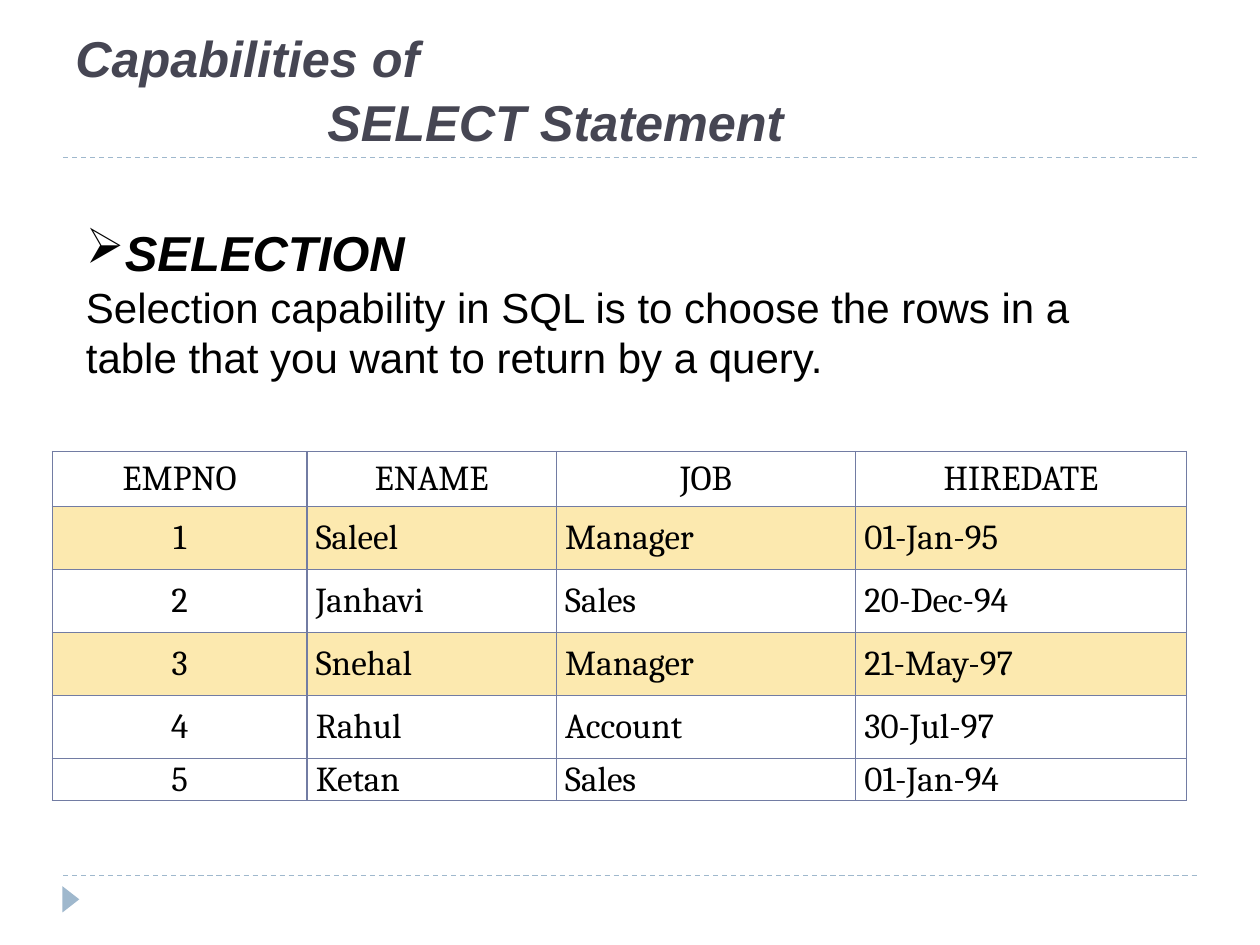
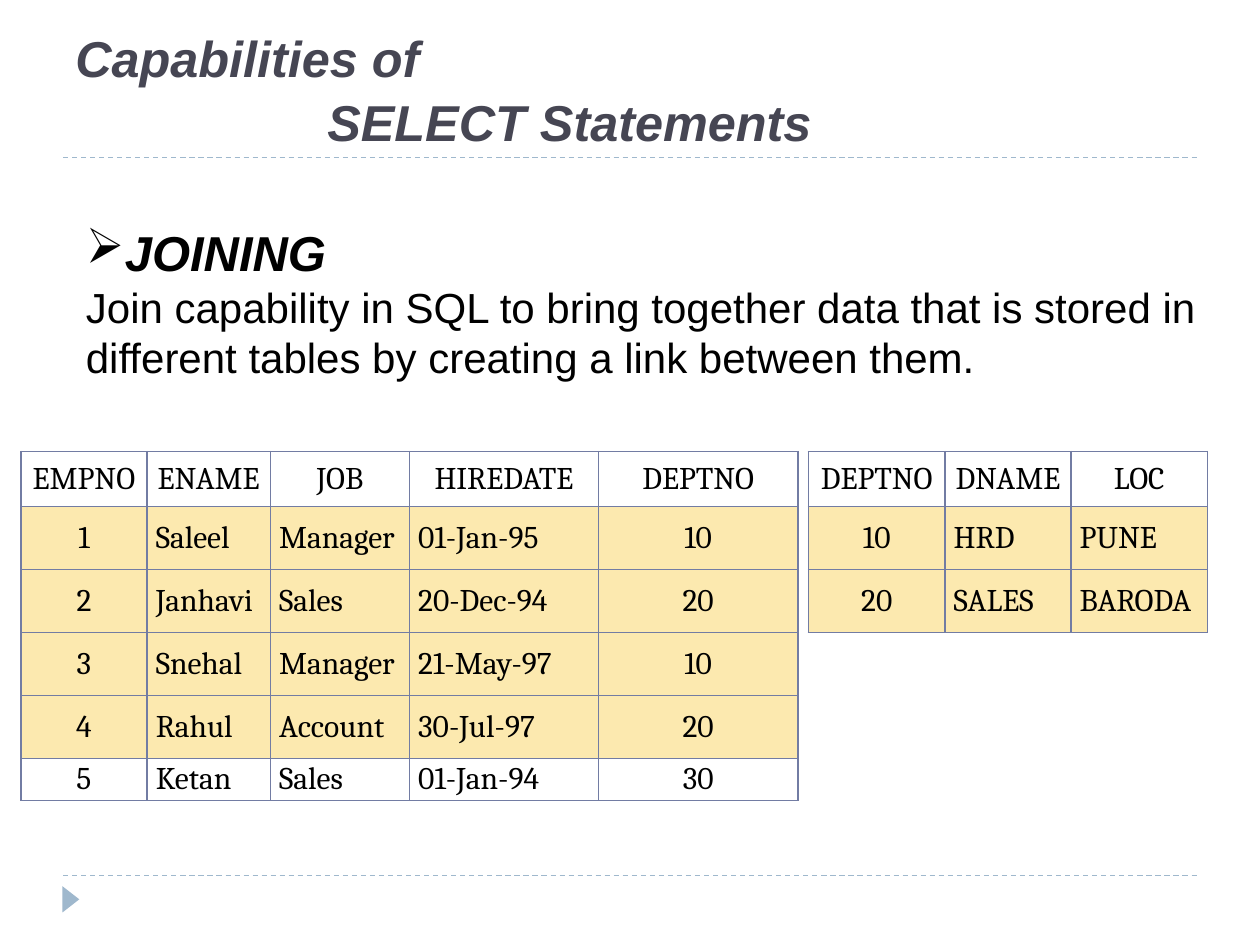
import pptx
import pptx.util
import pptx.dml.color
import pptx.enum.dml
import pptx.enum.shapes
import pptx.enum.text
import pptx.oxml
import pptx.oxml.ns

SLIDE_WIDTH, SLIDE_HEIGHT = pptx.util.Inches(10), pptx.util.Inches(7.5)
GRID_COLUMNS, GRID_ROWS = 120, 90

COLORS = {
    "title": "464653",
    "text": "000000",
    "accent": "9FB8CD",
    "border": "727CA3",
    "highlight": "FCE9AF",
}
HEADING_FONT, TABLE_FONT = "Arial", "Cambria"

TITLE_BOX = (6, 3, 108, 12)
FOOTER_BOX = (6, 83.4, 108, 6.6)
TABLE_TOP = 43
HEADER_HEIGHT, ROW_HEIGHT, LAST_ROW_HEIGHT = 5.25, 6, 4
CENTERED_FIELDS = {"EMPNO", "DEPTNO"}

EMPLOYEE_FIELDS = ["EMPNO", "ENAME", "JOB", "HIREDATE"]
EMPLOYEES = [
    ["1", "Saleel", "Manager", "01-Jan-95"],
    ["2", "Janhavi", "Sales", "20-Dec-94"],
    ["3", "Snehal", "Manager", "21-May-97"],
    ["4", "Rahul", "Account", "30-Jul-97"],
    ["5", "Ketan", "Sales", "01-Jan-94"],
]
EMPLOYEE_DEPARTMENTS = ["10", "20", "10", "20", "30"]
DEPARTMENT_FIELDS = ["DEPTNO", "DNAME", "LOC"]
DEPARTMENTS = [["10", "HRD", "PUNE"], ["20", "SALES", "BARODA"]]


def across(columns):
    return round(SLIDE_WIDTH * columns / GRID_COLUMNS)


def down(rows):
    return round(SLIDE_HEIGHT * rows / GRID_ROWS)


def place(box):
    left, top, width, height = box
    return across(left), down(top), across(width), down(height)


def rgb(name):
    return pptx.dml.color.RGBColor.from_string(COLORS[name])


def child(parent, tag, **attributes):
    element = pptx.oxml.ns.qn(tag)
    added = parent.makeelement(element, attributes)
    parent.append(added)
    return added


def style(paragraph, font_name, size, color, emphasis=False):
    font = paragraph.font
    font.name, font.size = font_name, pptx.util.Pt(size)
    font.bold = font.italic = emphasis
    font.color.rgb = rgb(color)


def add_text_frame(slide, box):
    frame = slide.shapes.add_textbox(*place(box)).text_frame
    frame.word_wrap = True
    return frame


def add_rule(slide, left, top, width):
    start, level = across(left), down(top)
    rule = slide.shapes.add_connector(
        pptx.enum.shapes.MSO_CONNECTOR.STRAIGHT,
        start, level, start + across(width), level)
    rule.line.color.rgb = rgb("accent")
    rule.line.width = pptx.util.Pt(0.75)
    rule.line.dash_style = pptx.enum.dml.MSO_LINE.DASH
    child(rule._element.spPr, "a:effectLst")


def add_title(slide, box, lines):
    """Bottom-anchored title, second line indented, with a rule below."""
    left, top, width, height = box
    add_rule(slide, left, top + height, width)
    frame = add_text_frame(slide, box)
    frame.vertical_anchor = pptx.enum.text.MSO_ANCHOR.BOTTOM
    frame.text = "\n".join(lines)
    for paragraph in frame.paragraphs:
        paragraph.line_spacing = 1.05
        style(paragraph, HEADING_FONT, 28.8, "title", emphasis=True)
    frame.paragraphs[1]._p.get_or_add_pPr().set("marL", str(across(24)))


def add_footer(slide, box):
    left, top, width, _ = box
    add_rule(slide, left, top, width)
    marker = slide.shapes.add_shape(
        pptx.enum.shapes.MSO_SHAPE.ISOSCELES_TRIANGLE,
        *place((left - 0.5, top + 1.45, 2.5, 1.6)))
    marker.rotation = 90
    marker.shadow.inherit = False
    marker.fill.solid()
    marker.fill.fore_color.rgb = rgb("accent")
    marker.line.fill.background()


def add_capability(slide, box, name, description):
    frame = add_text_frame(slide, box)
    frame.text = f"{name}\n{description}"
    heading, explanation = frame.paragraphs
    heading.line_spacing = 2.0
    child(heading._p.get_or_add_pPr(), "a:buChar", char="➢")
    style(heading, HEADING_FONT, 28, "text", emphasis=True)
    style(explanation, HEADING_FONT, 24, "text")


def add_cell_borders(cell):
    properties = cell._tc.get_or_add_tcPr()
    for position, side in enumerate(("a:lnL", "a:lnR", "a:lnT", "a:lnB")):
        border = properties.makeelement(
            pptx.oxml.ns.qn(side), {"w": str(pptx.util.Pt(1))})
        properties.insert(position, border)
        child(child(border, "a:solidFill"), "a:srgbClr", val=COLORS["border"])


def fill_cell(cell, value, size, centered, highlighted):
    cell.margin_left = cell.margin_right = pptx.util.Inches(0.07)
    cell.margin_top = cell.margin_bottom = 0
    cell.vertical_anchor = pptx.enum.text.MSO_ANCHOR.MIDDLE
    if highlighted:
        cell.fill.solid()
        cell.fill.fore_color.rgb = rgb("highlight")
    else:
        cell.fill.background()
    add_cell_borders(cell)
    cell.text = value
    paragraph = cell.text_frame.paragraphs[0]
    if centered:
        paragraph.alignment = pptx.enum.text.PP_ALIGN.CENTER
    style(paragraph, TABLE_FONT, size, "text")


def add_records(slide, corner, widths, heights, fields, records, size, highlighted):
    """Table of records; highlighted holds the row numbers to tint."""
    grid = [fields, *records]
    box = (*corner, sum(widths), sum(heights))
    table = slide.shapes.add_table(len(grid), len(fields), *place(box)).table
    table.first_row = table.horz_banding = False
    for column, width in zip(table.columns, widths):
        column.width = across(width)
    for row, height in zip(table.rows, heights):
        row.height = down(height)
    for row_number, values in enumerate(grid):
        for column_number, (field, value) in enumerate(zip(fields, values)):
            fill_cell(table.cell(row_number, column_number), value, size,
                      row_number == 0 or field in CENTERED_FIELDS,
                      row_number in highlighted)


def add_capability_slide(deck, title_ending, text_box, name, description):
    slide = deck.slides.add_slide(deck.slide_layouts[6])
    add_footer(slide, FOOTER_BOX)
    add_title(slide, TITLE_BOX, ["Capabilities of", title_ending])
    add_capability(slide, text_box, name, description)
    return slide


def main():
    deck = pptx.Presentation()
    deck.slide_width, deck.slide_height = SLIDE_WIDTH, SLIDE_HEIGHT
    employee_heights = [HEADER_HEIGHT, *[ROW_HEIGHT] * 4, LAST_ROW_HEIGHT]

    selection = add_capability_slide(
        deck, "SELECT Statement", (7, 15, 104, 22.2), "SELECTION",
        "Selection capability in SQL is to choose the rows in a table "
        "that you want to return by a query.")
    add_records(selection, (5, TABLE_TOP), [24.25, 23.75, 28.5, 31.5],
                employee_heights, EMPLOYEE_FIELDS, EMPLOYEES, 20, {1, 3})

    joining = add_capability_slide(
        deck, "SELECT Statements", (7, 15, 110, 30.4), "JOINING",
        "Join capability in SQL to bring together data that is stored in "
        "different tables by creating a link between them.")
    assigned = [[*employee, department] for employee, department
                in zip(EMPLOYEES, EMPLOYEE_DEPARTMENTS)]
    add_records(joining, (2, TABLE_TOP), [12, 11.75, 13.25, 18, 19],
                employee_heights, [*EMPLOYEE_FIELDS, "DEPTNO"], assigned,
                18, {1, 2, 3, 4})
    add_records(joining, (77, TABLE_TOP), [13, 12, 13],
                [HEADER_HEIGHT, ROW_HEIGHT, ROW_HEIGHT],
                DEPARTMENT_FIELDS, DEPARTMENTS, 18, {1, 2})

    deck.save("out.pptx")


if __name__ == "__main__":
    main()
